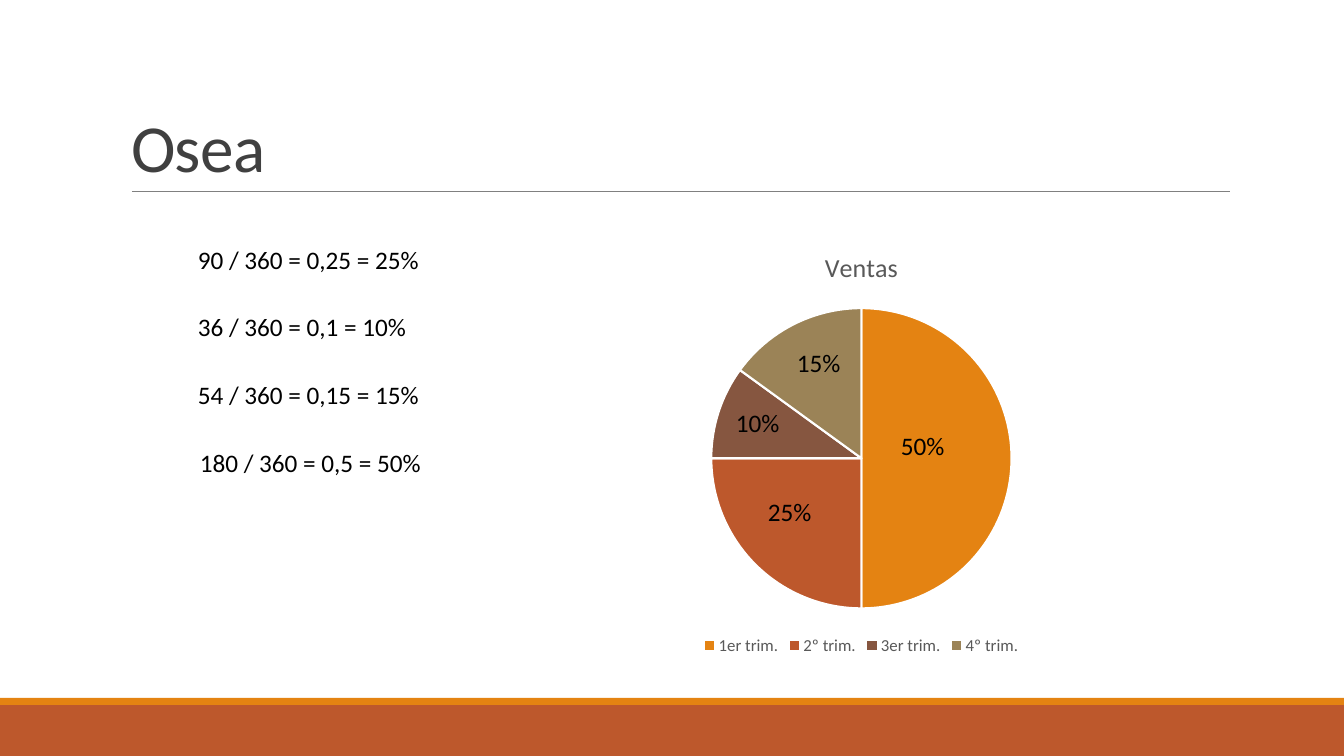
from dataclasses import dataclass

from lxml import etree
from pptx import Presentation
from pptx.chart.data import CategoryChartData
from pptx.dml.color import RGBColor
from pptx.enum.chart import XL_CHART_TYPE, XL_LEGEND_POSITION
from pptx.enum.shapes import MSO_CONNECTOR, MSO_SHAPE
from pptx.enum.text import MSO_ANCHOR, MSO_AUTO_SIZE, PP_ALIGN
from pptx.oxml.ns import qn
from pptx.util import Pt

PIE, BOTTOM = XL_CHART_TYPE.PIE, XL_LEGEND_POSITION.BOTTOM
RECT, STRAIGHT = MSO_SHAPE.RECTANGLE, MSO_CONNECTOR.STRAIGHT
LOW, TOP, LEFT = MSO_ANCHOR.BOTTOM, MSO_ANCHOR.TOP, PP_ALIGN.LEFT
GROW, FIXED = MSO_AUTO_SIZE.SHAPE_TO_FIT_TEXT, MSO_AUTO_SIZE.NONE
SCALE = 914400 / 100.8


@dataclass(frozen=True)
class Theme:
    font: str = "Calibri"
    ink: str = "000000"
    head: str = "404040"
    gray: str = "595959"
    rule: str = "808080"
    white: str = "FFFFFF"
    hues: tuple = ("E48312", "BD582C", "865640", "9B8357")
    title: float = 48
    body: float = 18
    chart: float = 18.6
    legend: float = 12


THEME = Theme()


def px(*nums):
    return [round(n * SCALE) for n in nums]


def rgb(code):
    return RGBColor.from_string(code)


def apply(thing, **vals):
    for name, val in vals.items():
        setattr(thing, name, val)


def style(font, size, color):
    apply(font, name=THEME.font, size=Pt(size), bold=False)
    font.color.rgb = rgb(color)


def paint(fill, color):
    fill.solid()
    fill.fore_color.rgb = rgb(color)


def label(slide, text, box):
    frame = slide.shapes.add_textbox(*px(*box)).text_frame
    apply(frame, text=text, word_wrap=False, auto_size=GROW, vertical_anchor=TOP)
    style(frame.paragraphs[0].runs[0].font, THEME.body, THEME.ink)


def footer(slide, box):
    x, y, w, h = box
    edge = 7
    bands = ((y + edge, h - edge, THEME.hues[1]), (y, edge, THEME.hues[0]))
    for top, high, color in bands:
        band = slide.shapes.add_shape(RECT, *px(x, top, w, high))
        band.shadow.inherit = False
        paint(band.fill, color)
        band.line.fill.background()


def header(slide, box):
    x, y, w, h = box
    # Rule under the title
    rule = slide.shapes.add_connector(STRAIGHT, *px(x + 11, y + h, x + w, y + h))
    rule.line.color.rgb = rgb(THEME.rule)
    rule.line.width = Pt(0.5)
    etree.SubElement(rule._element.spPr, qn("a:effectLst"))
    # Title
    title = slide.shapes.title
    apply(title, **dict(zip(("left", "top", "width", "height"), px(*box))))
    frame = title.text_frame
    apply(frame, text="Osea", vertical_anchor=LOW, word_wrap=True, auto_size=FIXED)
    para = frame.paragraphs[0]
    apply(para, alignment=LEFT, line_spacing=0.85)
    font = para.runs[0].font
    style(font, THEME.title, THEME.head)
    font._element.set("spc", "-50")


def sums(slide, box):
    x, y, w, h = box
    lines = (
        ("90 / 360 = 0,25 = 25%", 0),
        ("36 / 360 = 0,1 = 10%", 0),
        ("54 / 360 = 0,15 = 15%", 0),
        ("180 / 360 = 0,5 = 50%", 2),
    )
    step = h / len(lines)
    for row, (text, shift) in enumerate(lines):
        label(slide, text, (x + shift, y + row * step, w, 40))


def place(chart, **parts):
    """Fix the plot area as shares of the chart box."""
    area = chart._chartSpace.chart.plotArea
    for old in area.findall(qn("c:layout")):
        area.remove(old)
    layout = etree.Element(qn("c:layout"))
    area.insert(0, layout)
    manual = etree.SubElement(layout, qn("c:manualLayout"))
    modes = {"layoutTarget": "inner", "xMode": "edge", "yMode": "edge"}
    for name, val in {**modes, **parts}.items():
        etree.SubElement(manual, qn("c:" + name)).set("val", str(val))


def sales(slide, box):
    x, y, w, h = box
    data = CategoryChartData()
    data.categories = ["1er trim.", "2º trim.", "3er trim.", "4º trim."]
    data.add_series("Ventas", (50, 25, 10, 15))
    chart = slide.shapes.add_chart(PIE, *px(*box), data).chart
    style(chart.font, 10, THEME.ink)
    place(chart, x=0.3, y=0.18, w=0.4, h=0.7)

    # Title and legend
    chart.has_title = chart.has_legend = True
    frame = chart.chart_title.text_frame
    frame.text = "Ventas"
    style(frame.paragraphs[0].runs[0].font, THEME.chart, THEME.gray)
    apply(chart.legend, position=BOTTOM, include_in_layout=False)
    style(chart.legend.font, THEME.legend, THEME.gray)

    # Slices
    plot = chart.plots[0]
    plot.vary_by_categories = True
    for spot, hue in enumerate(THEME.hues):
        look = plot.series[0].points[spot].format
        paint(look.fill, hue)
        look.line.color.rgb = rgb(THEME.white)
        look.line.width = Pt(1.5)

    # Shares over the slices
    marks = (("50%", 415, 194), ("25%", 282, 260), ("10%", 250, 171), ("15%", 311, 111))
    for text, dx, dy in marks:
        label(slide, text, (x + dx, y + dy, 64, 40))


deck = Presentation()
deck.slide_width, deck.slide_height = px(1344, 756)
page = deck.slides.add_slide(deck.slide_layouts[5])
footer(page, (0, 698, 1344, 58))
header(page, (121, 31, 1109, 160))
sales(page, (476, 231, 771, 429))
sums(page, (188, 239, 244, 271))
deck.save("out.pptx")
